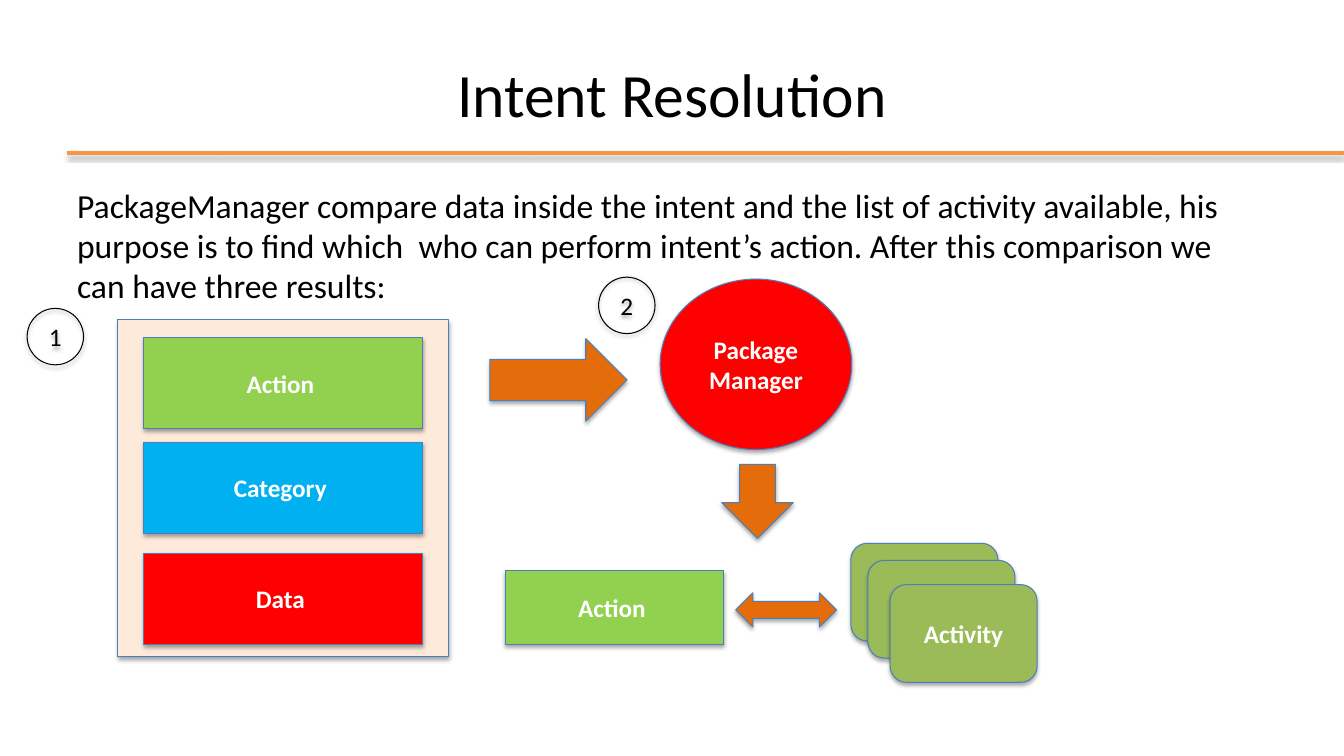
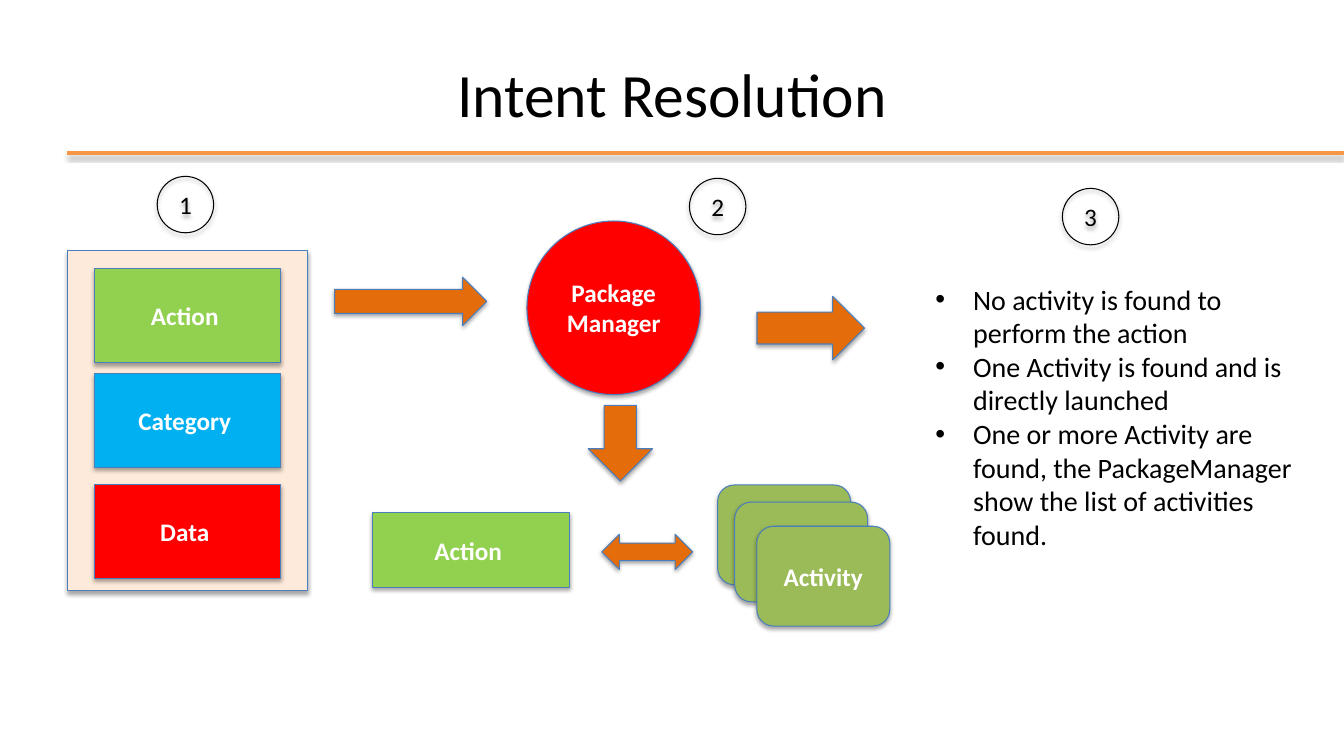
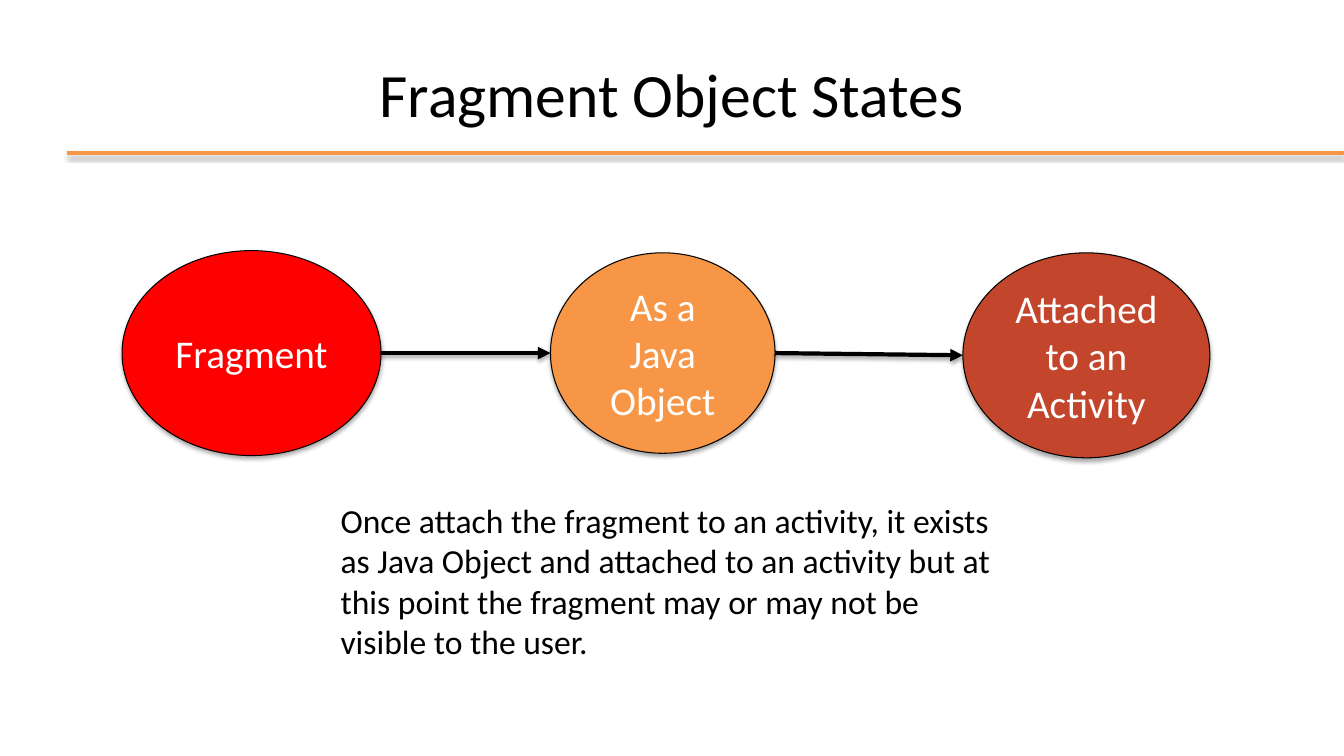
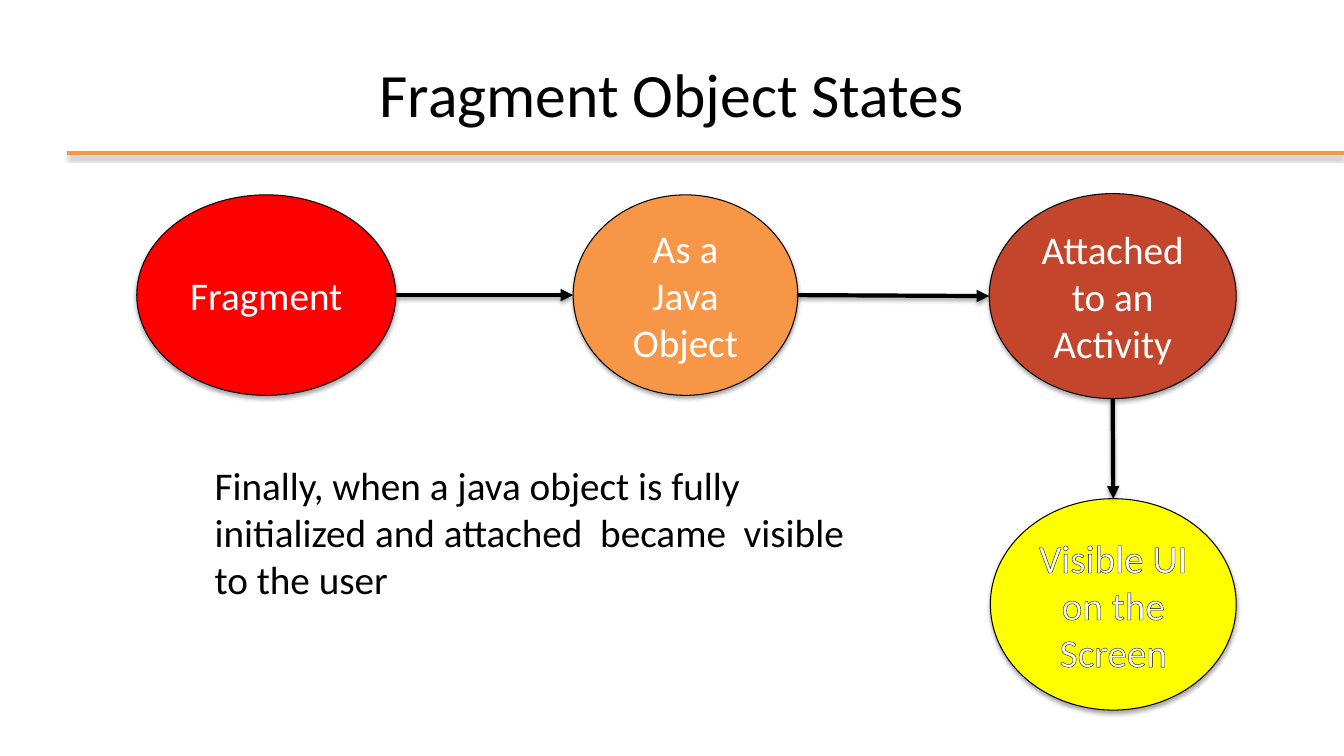
from lxml import etree
from pptx import Presentation
from pptx import util as u
from pptx.dml import color
from pptx.enum import shapes, text
from pptx.oxml import ns

Pt = u.Pt
SHAPE = shapes.MSO_SHAPE
BLACK, WHITE = "000000", "FFFFFF"
RED, GREEN, BLUE, YELLOW = "FF0000", "92D050", "00B0F0", "FFFF00"
PEACH, OLIVE, DARK_ORANGE = "FDEADA", "9BBB59", "E46C0A"
ORANGE, BRICK, EDGE = "F79646", "C2452C", "4B7EBC"


def rgb(value):
    return color.RGBColor.from_string(value)


def apply(target, values):
    for name, value in values.items():
        setattr(target, name, value)


def child(parent, tag, **attributes):
    return etree.SubElement(parent, ns.qn(tag), attributes)


class Deck:
    font = "Calibri"
    title_box = (48, 21.6, 864, 90)
    rule = (48, 109.4, 960, 109.4)
    badge_size = 40.3

    def __init__(self):
        self.presentation = Presentation()
        apply(self.presentation, {"slide_width": Pt(960), "slide_height": Pt(540)})
        self.slide = None

    def new_slide(self, title):
        self.slide = self.presentation.slides.add_slide(self.presentation.slide_layouts[5])
        self.line(*(Pt(value) for value in self.rule), ORANGE)
        heading = self.slide.shapes.title
        apply(heading, dict(zip(("left", "top", "width", "height"), map(Pt, self.title_box))))
        self.set_text(heading, title, 44, BLACK, align=text.PP_ALIGN.CENTER,
                      anchor=text.MSO_ANCHOR.MIDDLE)

    def set_text(self, shape, content, size, ink, bold=False, align=text.PP_ALIGN.LEFT,
                 anchor=text.MSO_ANCHOR.TOP):
        frame = shape.text_frame
        frame.text = content
        apply(frame, {"word_wrap": True, "vertical_anchor": anchor})
        for paragraph in frame.paragraphs:
            paragraph.alignment = align
            for run in paragraph.runs:
                apply(run.font, {"name": self.font, "size": Pt(size), "bold": bold})
                run.font.color.rgb = rgb(ink)

    def shadow(self, shape):
        effects = child(shape._element.spPr, "a:effectLst")
        outer = child(effects, "a:outerShdw", blurRad=str(Pt(3.1)), dist=str(Pt(1.8)),
                      dir="5400000", rotWithShape="0")
        tint = child(outer, "a:srgbClr", val=BLACK)
        child(tint, "a:alpha", val="35000")

    def shape(self, kind, box, fill, content="", edge=EDGE, size=18, ink=WHITE, bold=True):
        shape = self.slide.shapes.add_shape(kind, *map(Pt, box))
        if fill:
            shape.fill.solid()
            shape.fill.fore_color.rgb = rgb(fill)
        else:
            shape.fill.background()
        shape.line.color.rgb = rgb(edge)
        shape.line.width = Pt(0.75)
        self.shadow(shape)
        if content:
            self.set_text(shape, content, size, ink, bold, text.PP_ALIGN.CENTER,
                          text.MSO_ANCHOR.MIDDLE)
        return shape

    def line(self, x1, y1, x2, y2, ink, arrow=False):
        connector = self.slide.shapes.add_connector(shapes.MSO_CONNECTOR.STRAIGHT, x1, y1, x2, y2)
        connector.line.color.rgb = rgb(ink)
        connector.line.width = Pt(3)
        if arrow:
            child(connector.line._get_or_add_ln(), "a:tailEnd", type="triangle")
        self.shadow(connector)

    def arrow_right(self, start, end):
        self.line(start.left + start.width, start.top + start.height // 2,
                  end.left, end.top + end.height // 2, BLACK, True)

    def arrow_down(self, start, end):
        self.line(start.left + start.width // 2, start.top + start.height,
                  end.left + end.width // 2, end.top, BLACK, True)

    def text_box(self, box, content, size, bullets=False):
        shape = self.slide.shapes.add_textbox(*map(Pt, box))
        self.set_text(shape, content, size, BLACK)
        if bullets:
            for paragraph in shape.text_frame.paragraphs:
                properties = paragraph._p.get_or_add_pPr()
                properties.set("marL", str(Pt(27)))
                properties.set("indent", str(Pt(-27)))
                child(properties, "a:buFont", typeface="Arial")
                child(properties, "a:buChar", char="•")

    def badge(self, number, left, top):
        self.shape(SHAPE.OVAL, (left, top, self.badge_size, self.badge_size), None,
                   str(number), edge=BLACK, ink=BLACK, bold=False)

    def block_arrow(self, kind, box):
        self.shape(kind, box, DARK_ORANGE)

    def package_manager(self, box):
        self.shape(SHAPE.OVAL, box, RED, "Package\nManager")

    def intent(self, box, inset, item_height):
        left, top, width, height = box
        self.shape(SHAPE.RECTANGLE, box, PEACH)
        items = (("Action ", GREEN, 13), ("Category ", BLUE, 87.7), ("Data ", RED, 167))
        for label, fill, offset in items:
            self.shape(SHAPE.RECTANGLE,
                       (left + inset, top + offset, width - 2 * inset, item_height), fill, label)

    def match(self, action_box, arrow_box, activity_box):
        left, top, width, height = activity_box
        for dx, dy, label in ((0, 0, ""), (12.2, 12.2, ""), (28, 29.5, "Activity")):
            self.shape(SHAPE.ROUNDED_RECTANGLE, (left + dx, top + dy, width, height), OLIVE, label)
        self.shape(SHAPE.RECTANGLE, action_box, GREEN, "Action ")
        self.block_arrow(SHAPE.LEFT_RIGHT_ARROW, arrow_box)

    def state(self, box, fill, label, outlined=False):
        shape = self.shape(SHAPE.OVAL, box, fill, label, edge=BLACK, size=28, bold=False)
        if outlined:
            properties = shape.text_frame.paragraphs[0].runs[0]._r.get_or_add_rPr()
            outline = etree.Element(ns.qn("a:ln"), w=str(Pt(0.75)))
            child(child(outline, "a:solidFill"), "a:srgbClr", val=BLACK)
            properties.insert(0, outline)
        return shape

    def state_chain(self, fragment_box, object_box, attached_box):
        fragment = self.state(fragment_box, RED, "Fragment")
        java_object = self.state(object_box, ORANGE, "As a Java Object")
        attached = self.state(attached_box, BRICK, "Attached to an Activity")
        self.arrow_right(fragment, java_object)
        self.arrow_right(java_object, attached)
        return attached


def resolution_overview(deck):
    deck.new_slide("Intent Resolution")
    deck.text_box((48, 128.2, 864, 85.7),
                  "PackageManager compare data inside the intent and the list of activity "
                  "available, his purpose is to find which  who can perform intent’s action. "
                  "After this comparison we can have three results:", 24)
    deck.package_manager((471.6, 199.4, 136.8, 121.7))
    deck.intent((84.2, 228.2, 236.2, 240.5), 18.6, 65)
    deck.block_arrow(SHAPE.RIGHT_ARROW, (349.9, 241.9, 98, 59))
    deck.match((361.2, 407.5, 155.8, 52.6), (525.6, 423.4, 72, 24.5), (607.8, 388.1, 105, 69.8))
    deck.block_arrow(SHAPE.DOWN_ARROW, (515.5, 331.7, 51.1, 52.8))
    deck.badge(1, 19.4, 220.3)
    deck.badge(2, 427.6, 198)


def resolution_results(deck):
    deck.new_slide("Intent Resolution")
    deck.text_box((661, 198, 280, 296),
                  "No activity is found to perform the action\n"
                  "One Activity is found and is directly launched\n"
                  "One or more Activity are found, the PackageManager show the list of "
                  "activities found.", 20, bullets=True)
    for number, left, top in ((1, 112.3, 126), (2, 492.5, 127.4), (3, 758.9, 134.6)):
        deck.badge(number, left, top)
    deck.package_manager((376.4, 157.9, 124, 124))
    deck.intent((48, 179.1, 172, 243), 19.4, 67)
    deck.block_arrow(SHAPE.RIGHT_ARROW, (239, 198, 108.7, 34.6))
    deck.match((266, 366, 141, 53.6), (429.8, 381.6, 65, 25.2), (512.6, 346.4, 95, 71.3))
    deck.block_arrow(SHAPE.DOWN_ARROW, (420.1, 289.6, 46.1, 54))
    deck.block_arrow(SHAPE.RIGHT_ARROW, (540.7, 211.7, 76.8, 45.4))


def fragment_attached(deck):
    deck.new_slide("Fragment Object States")
    deck.state_chain((87.2, 179, 185, 146.4), (393.2, 180.6, 160.4, 143.2),
                     (687.8, 180.6, 176.4, 146.4))
    deck.text_box((236.2, 353.5, 487.4, 123.8),
                  "Once attach the fragment to an activity, it exists as Java Object and "
                  "attached to an activity but at this point the fragment may or may not be "
                  "visible to the user.", 24)


def fragment_visible(deck):
    deck.new_slide("Fragment Object States")
    attached = deck.state_chain((97.7, 139.2, 185, 143.2), (409.4, 139.2, 160.4, 143.2),
                                (706.6, 138.3, 176.4, 146.4))
    visible = deck.state((707.4, 356.2, 175.6, 151), YELLOW, "Visible UI on the Screen",
                         outlined=True)
    deck.arrow_down(attached, visible)
    deck.text_box((146.2, 326.2, 487.4, 108.7),
                  "Finally, when a java object is fully initialized and attached  became  "
                  "visible to the user", 28)


def main():
    deck = Deck()
    for build in (resolution_overview, resolution_results, fragment_attached, fragment_visible):
        build(deck)
    deck.presentation.save("out.pptx")


if __name__ == "__main__":
    main()
